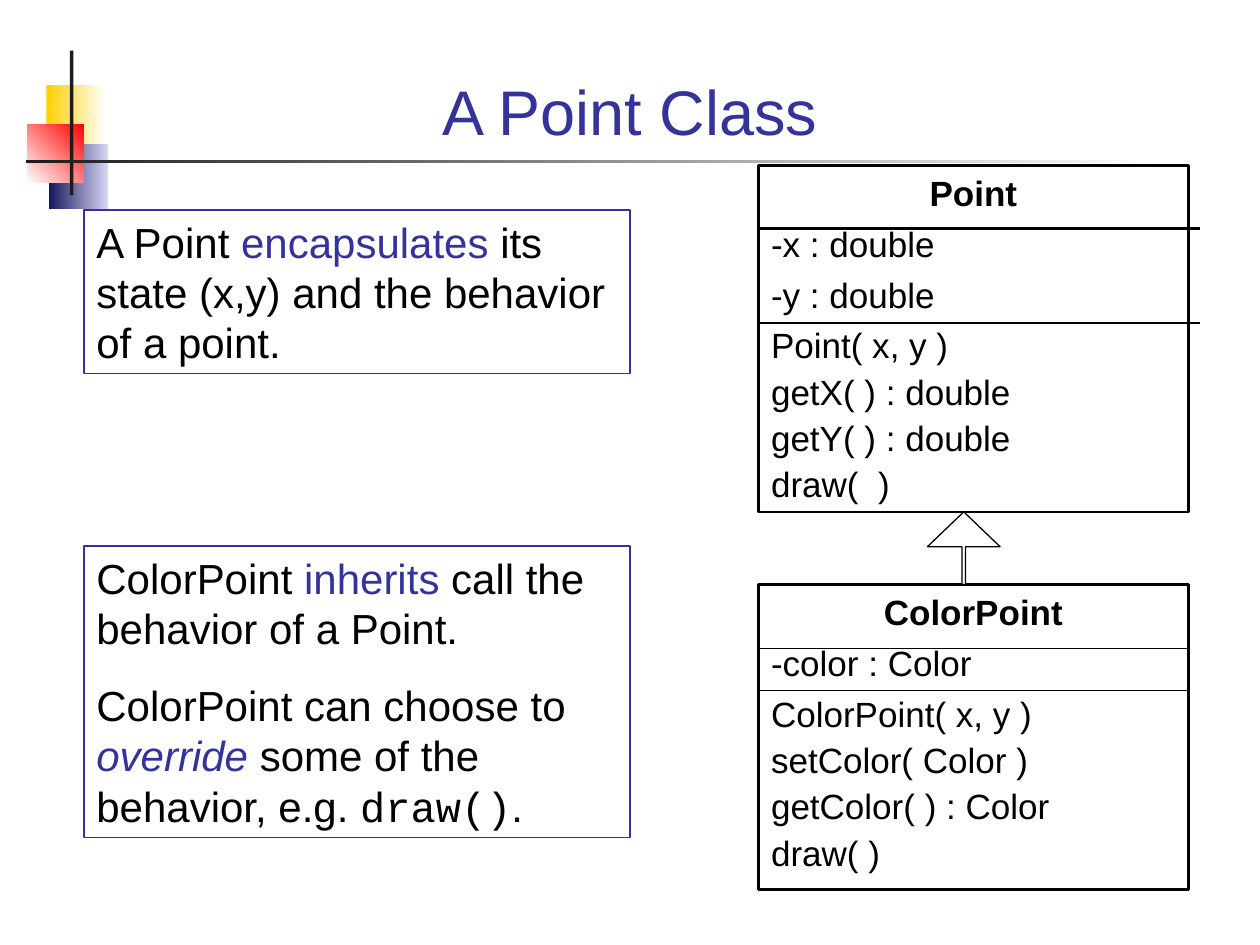
from dataclasses import dataclass

from lxml import etree
from pptx import Presentation
from pptx.dml.color import RGBColor
from pptx.enum.shapes import MSO_CONNECTOR, MSO_SHAPE
from pptx.enum.text import MSO_ANCHOR, PP_ALIGN
from pptx.oxml.ns import qn
from pptx.util import Pt

RECTANGLE = MSO_SHAPE.RECTANGLE
UP_ARROW = MSO_SHAPE.UP_ARROW
STRAIGHT = MSO_CONNECTOR.STRAIGHT
TOP, BOTTOM = MSO_ANCHOR.TOP, MSO_ANCHOR.BOTTOM
LEFT, CENTER = PP_ALIGN.LEFT, PP_ALIGN.CENTER


@dataclass(frozen=True)
class Theme:
    font: str = "Arial"
    code_font: str = "Courier New"
    title_size: int = 36
    note_size: int = 24
    class_size: int = 20
    ink: str = "000000"
    paper: str = "FFFFFF"
    accent: str = "333399"
    rule: str = "1C1C1C"
    yellow: str = "FFCF01"
    red: str = "FF0000"
    navy: str = "17175E"
    lilac: str = "D6D6F5"


THEME = Theme()
CLASS_LEFT, CLASS_WIDTH = 433.5, 245.5
NOTE_LEFT, NOTE_WIDTH = 48, 312

# Runs are (text, font changes)
KEYWORD = {"color": THEME.accent}
ENCAPSULATION = [
    [("A Point ", {}), ("encapsulates", KEYWORD),
     (" its state (x,y) and the behavior of a point.", {})],
]
INHERITANCE = [
    [("ColorPoint ", {}), ("inherits", KEYWORD),
     (" call the behavior of a Point.", {})],
    [("ColorPoint can choose to ", {}),
     ("override", {**KEYWORD, "italic": True}),
     (" some of the behavior, e.g. ", {}),
     ("draw()", {"name": THEME.code_font}), (".", {})],
]


def color(value):
    return RGBColor.from_string(value)


def format_font(font, **changes):
    values = {"name": THEME.font, "color": THEME.ink, **changes}
    font.color.rgb = color(values.pop("color"))
    for attribute, value in values.items():
        setattr(font, attribute, value)


def write_paragraph(frame, index, runs, size, space_before=0, align=LEFT):
    paragraph = frame.add_paragraph() if index else frame.paragraphs[0]
    paragraph.alignment = align
    if index:
        paragraph.space_before = Pt(space_before)
    for text, changes in runs:
        run = paragraph.add_run()
        run.text = text
        format_font(run.font, size=Pt(size), **changes)


def add_block(slide, kind, box, fill=None, line=None, line_width=0.75):
    shape = slide.shapes.add_shape(kind, *map(Pt, box))
    shape.shadow.inherit = False
    if fill:
        shape.fill.solid()
        shape.fill.fore_color.rgb = color(fill)
    else:
        shape.fill.background()
    if line:
        shape.line.color.rgb = color(line)
        shape.line.width = Pt(line_width)
    else:
        shape.line.fill.background()
    shape.text_frame.word_wrap = True
    shape.text_frame.vertical_anchor = TOP
    return shape


def add_gradient_block(slide, box, start, end, angle=0):
    """Add a rectangle shaded from start to end, angle counter-clockwise."""
    fill = add_block(slide, RECTANGLE, box).fill
    fill.gradient()
    fill.gradient_angle = angle
    for stop, position, value in zip(fill.gradient_stops, (0, 1), (start, end)):
        stop.position = position
        stop.color.rgb = color(value)


def add_divider(slide, y, width, line_width):
    line = slide.shapes.add_connector(
        STRAIGHT, Pt(CLASS_LEFT), Pt(y), Pt(CLASS_LEFT + width), Pt(y))
    line.line.color.rgb = color(THEME.ink)
    line.line.width = Pt(line_width)
    etree.SubElement(line._element.spPr, qn("a:effectLst"))


def add_decoration(slide):
    add_gradient_block(slide, (26.5, 48.5, 34, 37), THEME.yellow, THEME.paper)
    add_gradient_block(slide, (28, 82, 33.5, 37.5), THEME.navy, THEME.lilac)
    add_gradient_block(slide, (15.5, 71, 32.5, 33.5), THEME.red, THEME.paper, 225)
    add_block(slide, RECTANGLE, (40, 29, 2, 82.5), THEME.rule)
    add_gradient_block(slide, (15, 91.25, 647.5, 2), THEME.rule, THEME.paper)


def add_title(slide, text):
    title = slide.shapes.title
    title.left, title.top, title.width, title.height = map(Pt, (48, 20, 624, 68.5))
    title.text_frame.vertical_anchor = BOTTOM
    title.text_frame.text = text
    paragraph = title.text_frame.paragraphs[0]
    paragraph.alignment = CENTER
    format_font(paragraph.runs[0].font, size=Pt(THEME.title_size),
                color=THEME.accent)


def add_class(slide, top, height, name, fields, methods, dividers,
              divider_width, divider_weight):
    """Add a UML class box; dividers are offsets below its top."""
    box = (CLASS_LEFT, top, CLASS_WIDTH, height)
    frame = add_block(slide, RECTANGLE, box, THEME.paper, THEME.ink, 1.5).text_frame
    write_paragraph(frame, 0, [(name, {"bold": True})], THEME.class_size,
                    align=CENTER)
    for index, member in enumerate(fields + methods, start=1):
        opens_section = index <= len(fields) + 1
        write_paragraph(frame, index, [(member, {})], THEME.class_size,
                        space_before=5 if opens_section else 2.5)
    for offset in dividers:
        add_divider(slide, top + offset, divider_width, divider_weight)


def add_note(slide, top, height, paragraphs):
    box = (NOTE_LEFT, top, NOTE_WIDTH, height)
    frame = add_block(slide, RECTANGLE, box, line=THEME.accent).text_frame
    for index, runs in enumerate(paragraphs):
        write_paragraph(frame, index, runs, THEME.note_size, space_before=15)


def add_inheritance_arrow(slide):
    arrow = add_block(slide, UP_ARROW, (530, 292.5, 41.5, 41.5),
                      THEME.paper, THEME.ink)
    arrow.adjustments[0] = 0.05
    arrow.adjustments[1] = 0.48


def main():
    deck = Presentation()
    deck.slide_width, deck.slide_height = Pt(720), Pt(540)
    slide = deck.slides.add_slide(deck.slide_layouts[5])
    add_decoration(slide)
    add_title(slide, "A Point Class")
    add_class(slide, 94.5, 198, "Point", ["-x : double", "-y : double"],
              ["Point( x, y )", "getX( ) : double", "getY( ) : double", "draw(  )"],
              (36, 90), 252, 1.5)
    add_class(slide, 334, 174.5, "ColorPoint", ["-color : Color"],
              ["ColorPoint( x, y )", "setColor( Color )", "getColor( ) : Color",
               "draw( )"],
              (36.5, 60.5), CLASS_WIDTH, 0.75)
    add_inheritance_arrow(slide)
    add_note(slide, 312, 166.5, INHERITANCE)
    add_note(slide, 120, 93.5, ENCAPSULATION)
    deck.save("out.pptx")


if __name__ == "__main__":
    main()
